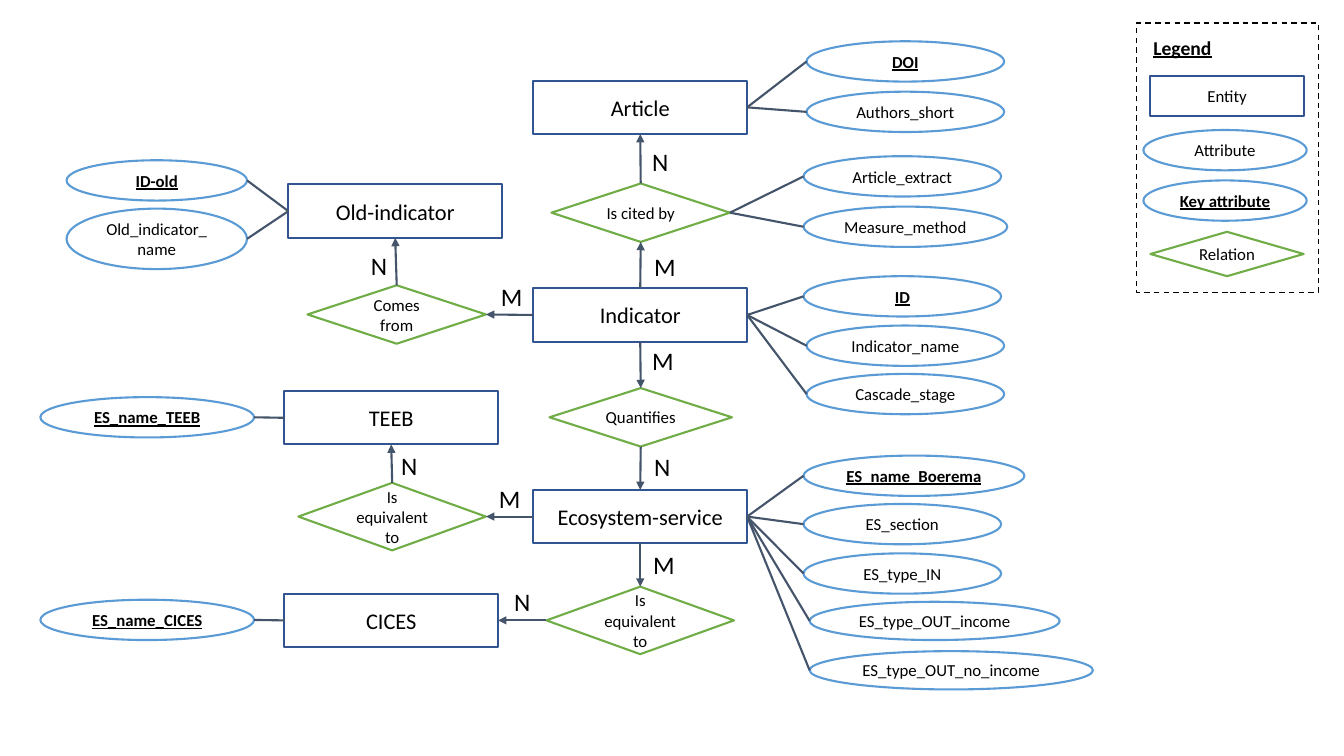
"""Build an entity-relationship diagram of ecosystem-service indicators."""
import pptx
import pptx.util
import pptx.dml.color
import pptx.enum.dml
import pptx.enum.shapes
import pptx.enum.text
import pptx.oxml

Inches = pptx.util.Inches
color = pptx.dml.color.RGBColor.from_string
shape_types = pptx.enum.shapes.MSO_SHAPE
alignments = pptx.enum.text.PP_ALIGN
TOP, LEFT, BOTTOM, RIGHT = range(4)
ENTITY = {"preset": shape_types.RECTANGLE, "outline": "325491"}
RELATION = {"preset": shape_types.DIAMOND, "outline": "70AD47"}
ATTRIBUTE = {"preset": shape_types.OVAL, "outline": "5B9BD5"}

presentation = pptx.Presentation()
presentation.slide_width = Inches(13.33)
presentation.slide_height = Inches(7.5)
slide = presentation.slides.add_slide(presentation.slide_layouts[6])


def add_node(text, box, preset=None, outline=None, size=12, key=False,
             align=alignments.CENTER, wrap=True):
    bounds = [Inches(length) for length in box]
    if preset is None:
        shape = slide.shapes.add_textbox(*bounds)
    else:
        shape = slide.shapes.add_shape(preset, *bounds)
        shape.shadow.inherit = False
        shape.fill.background()
        shape.line.color.rgb = color(outline)
        shape.line.width = pptx.util.Pt(1.5)
    frame = shape.text_frame
    frame.word_wrap = wrap
    frame.vertical_anchor = pptx.enum.text.MSO_ANCHOR.MIDDLE
    paragraph = frame.paragraphs[0]
    paragraph.alignment = align
    if text:
        run = paragraph.add_run()
        run.text = text
        run.font.name = "Calibri"
        run.font.size = pptx.util.Pt(size)
        run.font.color.rgb = color("000000")
        if key:
            run.font.bold = run.font.underline = True
    return shape


def add_link(start, start_site, end, end_site, arrow=False):
    connector = slide.shapes.add_connector(
        pptx.enum.shapes.MSO_CONNECTOR.STRAIGHT, 0, 0, 0, 0)
    connector.begin_connect(start, start_site)
    if arrow:
        connector.end_connect(end, end_site)
    else:
        connector.end_x = end.left + (end.width if end_site == RIGHT else 0)
        connector.end_y = end.top + end.height // 2
    connector.line.color.rgb = color("44546A")
    connector.line.width = pptx.util.Pt(1.5)
    if arrow:
        pptx.oxml.ns.qn("a:tailEnd")
        line = connector.line._get_or_add_ln()
        line.append(pptx.oxml.parse_xml(
            '<a:tailEnd xmlns:a="http://schemas.openxmlformats.org/drawingml/2006/main" type="triangle"/>'))
    properties = connector._element.spPr
    properties.append(properties.makeelement(pptx.oxml.ns.qn("a:effectLst"), {}))


nodes = {}
for name, left, top in [
    ("Article", 5.29, 0.8),
    ("Indicator", 5.29, 2.86),
    ("Ecosystem-service", 5.29, 4.86),
    ("Old-indicator", 2.86, 1.83),
    ("TEEB", 2.82, 3.88),
    ("CICES", 2.82, 5.89),
]:
    nodes[name] = add_node(name, (left, top, 2.12, 0.53), size=16, **ENTITY)

for name, text, box in [
    ("cited", "Is cited by", (5.47, 1.82, 1.77, 0.58)),
    ("quantifies", "Quantifies", (5.45, 3.85, 1.81, 0.58)),
    ("origin", "Comes from", (3.05, 2.83, 1.77, 0.58)),
    ("teeb match", "Is equivalent to", (2.96, 4.79, 1.86, 0.67)),
    ("cices match", "Is equivalent to", (5.42, 5.82, 1.86, 0.67)),
]:
    nodes[name] = add_node(text, box, **RELATION)

for start, start_site, end, end_site, label, label_left, label_top in [
    ("Indicator", TOP, "cited", BOTTOM, "M", 6.39, 2.44),
    ("cited", TOP, "Article", BOTTOM, "N", 6.37, 1.4),
    ("Indicator", BOTTOM, "quantifies", TOP, "M", 6.37, 3.38),
    ("quantifies", BOTTOM, "Ecosystem-service", TOP, "N", 6.39, 4.43),
    ("Indicator", LEFT, "origin", RIGHT, "M", 4.87, 2.74),
    ("origin", TOP, "Old-indicator", BOTTOM, "N", 3.58, 2.43),
    ("Ecosystem-service", LEFT, "teeb match", RIGHT, "M", 4.85, 4.74),
    ("teeb match", TOP, "TEEB", BOTTOM, "N", 3.88, 4.42),
    ("Ecosystem-service", BOTTOM, "cices match", TOP, "M", 6.38, 5.4),
    ("cices match", LEFT, "CICES", RIGHT, "N", 5, 5.77),
]:
    add_link(nodes[start], start_site, nodes[end], end_site, arrow=True)
    label_width = 0.42 if label == "M" else 0.36
    add_node(label, (label_left, label_top, label_width, 0.4), size=18,
             align=alignments.LEFT, wrap=False)

key_attributes = {"DOI", "ID", "ID-old", "ES_name_Boerema", "ES_name_TEEB", "ES_name_CICES"}
for owner, side, attributes in [
    ("Article", RIGHT, [
        ("DOI", (8, 0.41, 1.96, 0.4)),
        ("Authors_short", (8, 0.91, 1.96, 0.4)),
    ]),
    ("cited", RIGHT, [
        ("Article_extract", (7.97, 1.55, 1.96, 0.4)),
        ("Measure_method", (7.97, 2.05, 2.02, 0.4)),
    ]),
    ("Indicator", RIGHT, [
        ("ID", (7.97, 2.74, 1.96, 0.4)),
        ("Indicator_name", (8, 3.23, 1.96, 0.4)),
        ("Cascade_stage", (8, 3.71, 1.96, 0.4)),
    ]),
    ("Ecosystem-service", RIGHT, [
        ("ES_name_Boerema", (7.97, 4.52, 2.19, 0.4)),
        ("ES_section", (7.97, 5, 1.96, 0.4)),
        ("ES_type_IN", (7.97, 5.49, 1.96, 0.4)),
        ("ES_type_OUT_income", (8.03, 5.97, 2.48, 0.38)),
        ("ES_type_OUT_no_income", (8.03, 6.46, 2.81, 0.38)),
    ]),
    ("Old-indicator", LEFT, [
        ("ID-old", (0.66, 1.59, 1.79, 0.4)),
        ("Old_indicator_name", (0.66, 2.07, 1.79, 0.6)),
    ]),
    ("TEEB", LEFT, [("ES_name_TEEB", (0.4, 3.94, 2.12, 0.4))]),
    ("CICES", LEFT, [("ES_name_CICES", (0.4, 5.95, 2.12, 0.4))]),
]:
    for text, box in attributes:
        attribute = add_node(text, box, key=text in key_attributes, **ATTRIBUTE)
        add_link(nodes[owner], side, attribute, LEFT if side == RIGHT else RIGHT)

legend_frame = add_node("", (11.27, 0.23, 1.81, 2.67),
                        preset=shape_types.RECTANGLE, outline="000000")
legend_frame.line.width = pptx.util.Pt(1)
legend_frame.line.dash_style = pptx.enum.dml.MSO_LINE.DASH
add_node("Legend", (11.34, 0.27, 1.62, 0.4), size=14, key=True, align=alignments.LEFT)
add_node("Entity", (11.41, 0.75, 1.52, 0.4), **ENTITY)
add_node("Attribute", (11.34, 1.29, 1.62, 0.4), **ATTRIBUTE)
add_node("Key attribute", (11.34, 1.79, 1.62, 0.4), key=True, **ATTRIBUTE)
add_node("Relation", (11.41, 2.3, 1.52, 0.44), **RELATION)

presentation.save("out.pptx")
